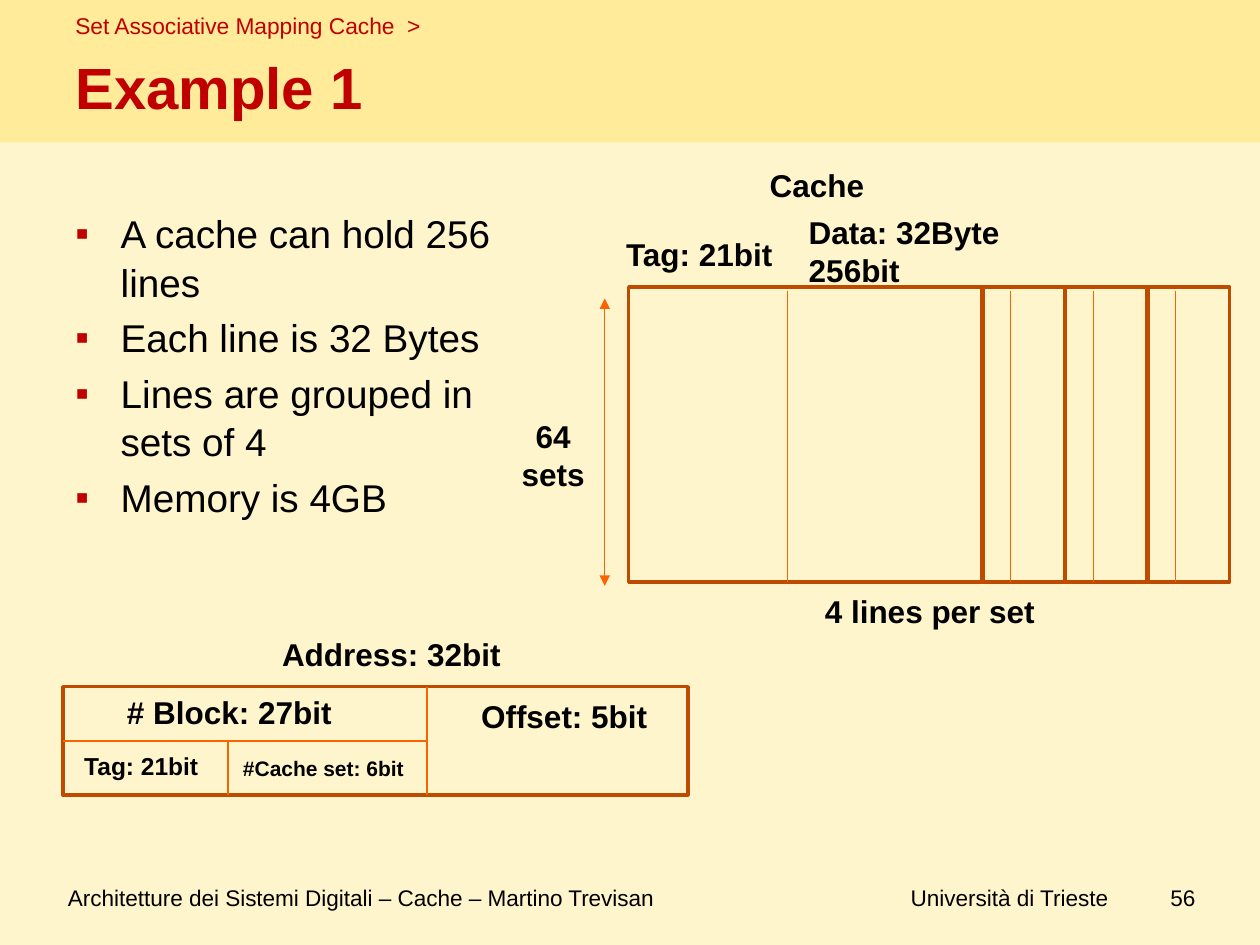
from dataclasses import dataclass

from lxml.etree import SubElement
from pptx import Presentation
from pptx.dml.color import RGBColor
from pptx.enum.shapes import MSO_CONNECTOR, MSO_SHAPE
from pptx.enum.text import MSO_ANCHOR, PP_ALIGN
from pptx.oxml.ns import qn
from pptx.util import Inches, Pt

SLIDE_WIDTH, SLIDE_HEIGHT = Inches(10), Inches(7.5)
COLUMNS, ROWS = 100, 75


@dataclass(frozen=True)
class Theme:
    font: str = "Arial"
    background: str = "FFF5CC"
    band: str = "FFEB99"
    accent: str = "C00000"
    text: str = "000000"
    frame: str = "BD4B00"
    divider: str = "F96400"
    title_size: float = 33.2
    body_size: float = 22.1
    label_size: float = 18
    field_size: float = 14
    small_size: float = 12
    footer_size: float = 12.9
    section_size: float = 13
    frame_width: float = 2
    divider_width: float = 0.75


THEME = Theme()


@dataclass(frozen=True)
class Box:
    """An area in grid columns and rows."""
    left: float
    top: float
    width: float
    height: float

    def inner(self, left, top, width, height):
        return Box(self.left + left, self.top + top, width, height)

    @property
    def bottom(self):
        return self.top + self.height

    def lengths(self):
        return (across(self.left), down(self.top),
                across(self.width), down(self.height))


def across(columns):
    return round(SLIDE_WIDTH * columns / COLUMNS)


def down(rows):
    return round(SLIDE_HEIGHT * rows / ROWS)


def color(value):
    return RGBColor.from_string(value)


def add_bullet(paragraph, character, indent):
    properties = paragraph._p.get_or_add_pPr()
    properties.set("marL", str(indent))
    properties.set("indent", str(-indent))
    bullet_color = SubElement(properties, qn("a:buClr"))
    SubElement(bullet_color, qn("a:srgbClr"), val=THEME.accent)
    SubElement(properties, qn("a:buFont"), typeface=THEME.font)
    SubElement(properties, qn("a:buChar"), char=character)


def add_text(slide, box, *lines, size=THEME.label_size, bold=False,
             fill=THEME.text, align=PP_ALIGN.LEFT, anchor=MSO_ANCHOR.TOP,
             bullet=None, gap=0, spacing=None):
    frame = slide.shapes.add_textbox(*box.lengths()).text_frame
    frame.word_wrap = True
    frame.vertical_anchor = anchor
    for index, line in enumerate(lines):
        paragraph = frame.add_paragraph() if index else frame.paragraphs[0]
        paragraph.text = line
        if bullet:
            add_bullet(paragraph, bullet, across(3.6))
        paragraph.alignment = align
        paragraph.space_before = Pt(gap if index else 0)
        paragraph.space_after = Pt(gap)
        if spacing:
            paragraph.line_spacing = spacing
        font = paragraph.font
        font.name, font.size, font.bold = THEME.font, Pt(size), bold
        font.color.rgb = color(fill)


def add_rectangle(slide, box, fill=None, line=None):
    shape = slide.shapes.add_shape(MSO_SHAPE.RECTANGLE, *box.lengths())
    shape.shadow.inherit = False
    if fill:
        shape.fill.solid()
        shape.fill.fore_color.rgb = color(fill)
    else:
        shape.fill.background()
    if line:
        shape.line.color.rgb = color(line)
        shape.line.width = Pt(THEME.frame_width)
    else:
        shape.line.fill.background()
    return shape


def add_divider(slide, start, end, arrows=False):
    connector = slide.shapes.add_connector(
        MSO_CONNECTOR.STRAIGHT, across(start[0]), down(start[1]),
        across(end[0]), down(end[1]))
    connector.line.color.rgb = color(THEME.divider)
    connector.line.width = Pt(THEME.divider_width)
    if arrows:
        outline = connector.line._get_or_add_ln()
        for tag in ("a:headEnd", "a:tailEnd"):
            SubElement(outline, qn(tag), type="triangle")
    SubElement(connector._element.spPr, qn("a:effectLst"))
    return connector


def add_header(slide, box):
    add_rectangle(slide, box, fill=THEME.band)
    add_text(slide, box.inner(5, 4.4, 89.4, 5.7), "Example 1", bold=True,
             size=THEME.title_size, fill=THEME.accent, anchor=MSO_ANCHOR.BOTTOM)
    add_text(slide, box.inner(5, 0, 89.4, 4), "Set Associative Mapping Cache  >",
             size=THEME.section_size, fill=THEME.accent, anchor=MSO_ANCHOR.MIDDLE)


def add_facts(slide, box):
    add_text(slide, box, "A cache can hold 256 lines", "Each line is 32 Bytes",
             "Lines are grouped in sets of 4", "Memory is 4GB",
             size=THEME.body_size, bullet="▪", gap=1.9, spacing=1.05)


def add_cache_line(slide, box, tag_share):
    add_rectangle(slide, box, line=THEME.frame)
    tag_end = box.left + box.width * tag_share
    add_divider(slide, (tag_end, box.top + 0.3), (tag_end, box.bottom))


def add_cache(slide, box):
    # One wide line, then three narrow ones side by side
    first = box.inner(9.9, 10.1, 28, 23.4)
    add_cache_line(slide, first, 0.45)
    pitch = 6.55
    for index in range(3):
        narrow = first.inner(first.width + 0.1 + index * pitch, 0, 6.5, first.height)
        add_cache_line(slide, narrow, 0.34)

    # Height of the cache in sets
    arrow = box.left + 8
    add_divider(slide, (arrow, first.top + 0.9), (arrow, first.bottom + 0.3),
                arrows=True)
    add_text(slide, box.inner(0.2, 19.9, 7.4, 7.1), "64", "sets", bold=True,
             align=PP_ALIGN.CENTER)

    # Labels above and below
    add_text(slide, box.inner(20.1, 0, 11.4, 4), "Cache", bold=True)
    add_text(slide, box.inner(8.7, 5.5, 18.1, 4), "Tag: 21bit", bold=True)
    add_text(slide, box.inner(23.2, 3.7, 18.1, 7.1), "Data: 32Byte", "256bit",
             bold=True)
    add_text(slide, box.inner(17.3, 33.8, 33, 4), "4 lines per set", bold=True,
             align=PP_ALIGN.CENTER)


def add_address(slide, box):
    # Frame and the lines between its fields
    fields = box.inner(0, 4.6, box.width, 8.6)
    frame = add_rectangle(slide, fields, line=THEME.frame)
    middle = fields.top + fields.height / 2
    block_end, tag_end = fields.left + 28.9, fields.left + 13.1
    add_divider(slide, (block_end, fields.top), (block_end, fields.bottom))
    block_line = add_divider(slide, (fields.left, middle), (block_end, middle))
    block_line.begin_connect(frame, 1)
    add_divider(slide, (tag_end, middle), (tag_end, fields.bottom))

    # Field names
    add_text(slide, box.inner(16.4, 0, 20, 4), "Address: 32bit", bold=True)
    add_text(slide, fields.inner(4.1, 0, 20.7, 4), "# Block: 27bit", bold=True)
    add_text(slide, fields.inner(32.2, 0.3, 17.4, 4), "Offset: 5bit", bold=True)
    add_text(slide, fields.inner(0.7, 4.6, 12.3, 3.4), "Tag: 21bit", bold=True,
             size=THEME.field_size)
    add_text(slide, fields.inner(13.3, 5, 15.8, 3), "#Cache set: 6bit", bold=True,
             size=THEME.small_size)


def add_footer(slide, box):
    entries = (
        (4.4, 52.1, "Architetture dei Sistemi Digitali – Cache – Martino Trevisan"),
        (71.3, 18.7, "Università di Trieste"),
        (91.9, 5.1, "56"),
    )
    for left, width, text in entries:
        add_text(slide, box.inner(left, 0, width, box.height), text,
                 size=THEME.footer_size, anchor=MSO_ANCHOR.MIDDLE)


def main():
    presentation = Presentation()
    presentation.slide_width, presentation.slide_height = SLIDE_WIDTH, SLIDE_HEIGHT
    slide = presentation.slides.add_slide(presentation.slide_layouts[6])
    slide.background.fill.solid()
    slide.background.fill.fore_color.rgb = color(THEME.background)
    add_header(slide, Box(0, 0, COLUMNS, 11.3))
    add_facts(slide, Box(5, 16, 37.7, 26))
    add_address(slide, Box(5, 49.9, 49.6, 13.2))
    add_cache(slide, Box(40, 12.7, 57.6, 37.8))
    add_footer(slide, Box(0, 69.1, COLUMNS, 4.3))
    presentation.save("out.pptx")


if __name__ == "__main__":
    main()
